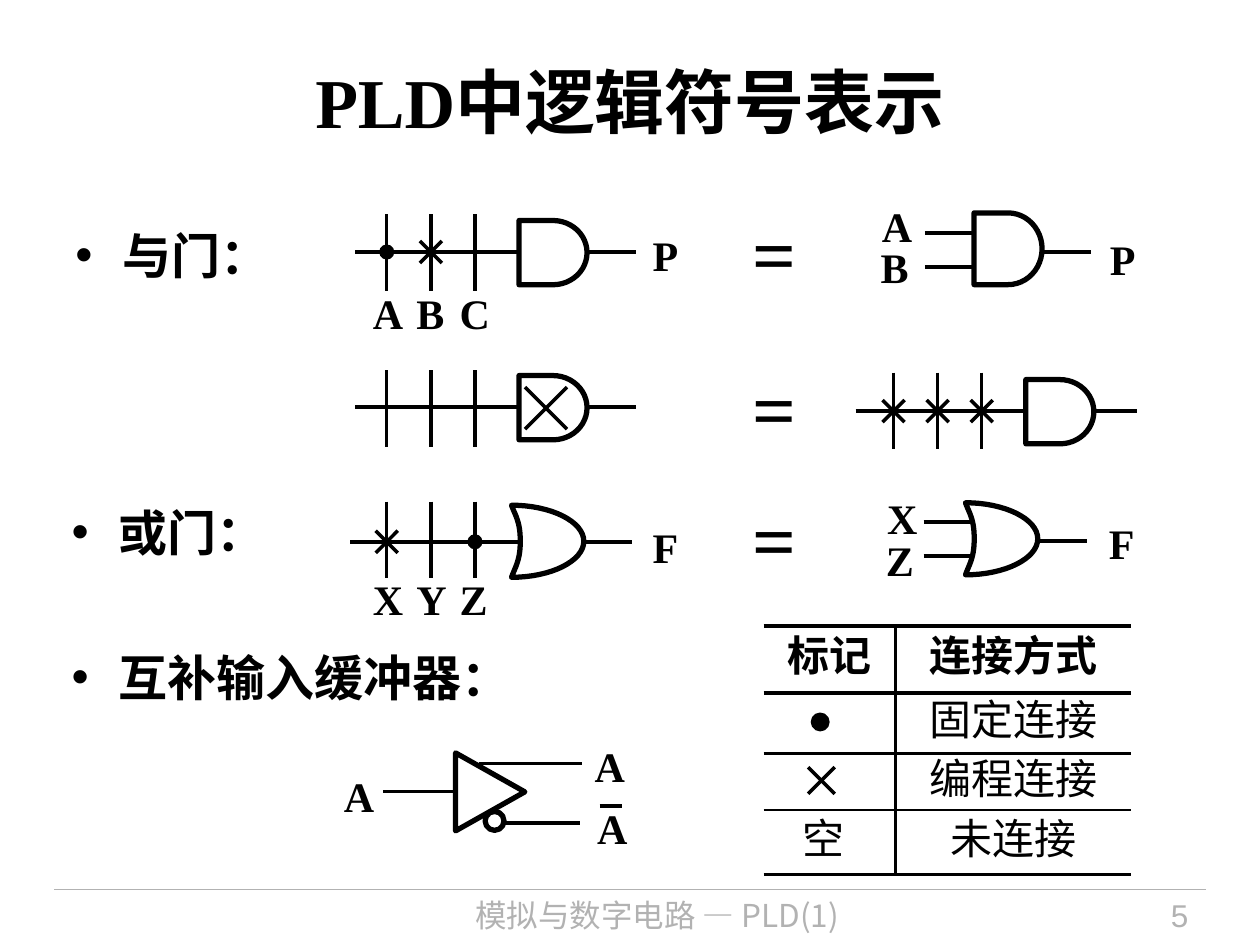
from lxml import etree
from pptx import Presentation
from pptx.dml.color import RGBColor
from pptx.enum import shapes, text
from pptx.oxml import ns
from pptx.util import Pt

BLACK, WHITE, GREY = "000000", "FFFFFF", "B2B2B2"
SERIF, SANS, CJK = "Times New Roman", "Arial", "Noto Sans CJK SC"
COLUMN_GAP = 25.2


def colour(hex_value):
    return RGBColor.from_string(hex_value)


def add_xml(parent, tag, **attributes):
    return etree.SubElement(parent, ns.qn(tag), **attributes)


def write(frame, words, size=24, font=SERIF, color=BLACK, bold=False,
          align=text.PP_ALIGN.LEFT, bullet=False, line_spacing=None):
    paragraph = frame.paragraphs[0]
    paragraph.alignment = align
    if line_spacing:
        paragraph.line_spacing = Pt(line_spacing)
    if bullet:
        paragraph.space_after = Pt(7)
        properties = paragraph._p.get_or_add_pPr()
        properties.set("marL", str(Pt(27)))
        properties.set("indent", str(-Pt(27)))
        add_xml(properties, "a:buFont", typeface=SANS)
        add_xml(properties, "a:buChar", char="•")
    run = paragraph.add_run()
    run.text = words
    run.font.size = Pt(size)
    run.font.bold = bold
    run.font.color.rgb = colour(color)
    run.font.name = font
    add_xml(run._r.get_or_add_rPr(), "a:ea", typeface=CJK)


def curve(p0, p1, p2, p3, steps=16):
    """Points along a cubic Bezier curve, without its start."""
    points = []
    for step in range(1, steps + 1):
        t = step / steps
        s = 1 - t
        points.append(tuple(
            s**3 * a + 3 * s * s * t * b + 3 * s * t * t * c + t**3 * d
            for a, b, c, d in zip(p0, p1, p2, p3)))
    return points


class Diagram:
    def __init__(self, slide, ink=BLACK, wire=2.25, thin=2, outline=3):
        self.slide = slide
        self.ink, self.wire, self.thin, self.outline = ink, wire, thin, outline

    def line(self, x1, y1, x2, y2, width=None, color=None):
        connector = self.slide.shapes.add_connector(
            shapes.MSO_CONNECTOR.STRAIGHT, Pt(x1), Pt(y1), Pt(x2), Pt(y2))
        connector.line.width = Pt(width or self.wire)
        connector.line.color.rgb = colour(color or self.ink)
        add_xml(connector._element.spPr, "a:effectLst")

    def paint(self, shape, fill, width):
        shape.shadow.inherit = False
        if fill:
            shape.fill.solid()
            shape.fill.fore_color.rgb = colour(fill)
        else:
            shape.fill.background()
        shape.line.color.rgb = colour(self.ink)
        shape.line.width = Pt(width)

    def shape(self, kind, x, y, w, h, fill=None, width=None, rotation=0):
        shape = self.slide.shapes.add_shape(kind, Pt(x), Pt(y), Pt(w), Pt(h))
        shape.rotation = rotation
        self.paint(shape, fill, width or self.outline)

    def text(self, words, x, y, w, h, inset=(7.2, 3.6), middle=False, **style):
        frame = self.slide.shapes.add_textbox(Pt(x), Pt(y), Pt(w), Pt(h)).text_frame
        frame.word_wrap = True
        frame.margin_left = frame.margin_right = Pt(inset[0])
        frame.margin_top = frame.margin_bottom = Pt(inset[1])
        frame.vertical_anchor = (text.MSO_ANCHOR.MIDDLE if middle
                                 else text.MSO_ANCHOR.TOP)
        write(frame, words, **style)

    def label(self, words, x, y, size=24, w=22, h=20):
        self.text(words, x, y, w, h, inset=(0, 0), size=size, bold=True)

    def dot(self, x, y, size=7.9):
        self.shape(shapes.MSO_SHAPE.OVAL, x - size / 2, y - size / 2,
                   size, size, fill=self.ink, width=0.75)

    def cross(self, x, y, half=6.3):
        for slope in (-1, 1):
            self.line(x - half, y - slope * half, x + half, y + slope * half,
                      self.thin)

    def and_gate(self, x, y, h=36.7):
        self.shape(shapes.MSO_SHAPE.FLOWCHART_DELAY, x, y, 38.9, h, fill=WHITE)

    def or_gate(self, x, y, fill=None):
        top, back, bottom, tip = (0, 0), (5, 20.6), (0, 41.2), (41.3, 20.6)
        points = (curve(top, (2.4, 6.5), (5, 9.4), back)
                  + curve(back, (5, 31.3), (2.4, 34.7), bottom)
                  + curve(bottom, (22.6, 41.2), (41.3, 31.9), tip)
                  + curve(tip, (41.3, 9.3), (22.6, 0), top))
        builder = self.slide.shapes.build_freeform(Pt(x), Pt(y))
        builder.add_line_segments([(Pt(x + px), Pt(y + py)) for px, py in points])
        self.paint(builder.convert_to_shape(), fill, self.outline)

    def input_array(self, first, top, bus_left, bus_y, marks=""):
        """Three input columns crossing one bus, each with its mark."""
        self.line(bus_left, bus_y, bus_left + 160.7, bus_y)
        for column in range(3):
            x = first + column * COLUMN_GAP
            self.line(x, top, x, top + 43.8, self.thin)
        for column, mark in enumerate(marks):
            draw = {"•": self.dot, "×": self.cross}.get(mark)
            if draw:
                draw(first + column * COLUMN_GAP, bus_y)

    def borders(self, cell, **widths):
        """Set cell borders by side (L, R, T, B); width 0 hides one."""
        properties = cell._tc.get_or_add_tcPr()
        for index, side in enumerate("LRTB"):
            width = widths[side]
            border = etree.Element(ns.qn("a:ln" + side), w=str(Pt(width)))
            if width:
                fill = add_xml(border, "a:solidFill")
                add_xml(fill, "a:srgbClr", val=self.ink)
            else:
                add_xml(border, "a:noFill")
            properties.insert(index, border)

    def table(self, rows, x, y, widths, heights, rules):
        """Table with horizontal rules and a single inner vertical rule."""
        table = self.slide.shapes.add_table(
            len(rows), len(widths), Pt(x), Pt(y),
            Pt(sum(widths)), Pt(sum(heights))).table
        table.first_row = table.horz_banding = False
        for column, width in zip(table.columns, widths):
            column.width = Pt(width)
        for r, (row, height) in enumerate(zip(rows, heights)):
            table.rows[r].height = Pt(height)
            for c, words in enumerate(row):
                cell = table.cell(r, c)
                cell.fill.background()
                cell.margin_top = cell.margin_bottom = 0
                cell.vertical_anchor = text.MSO_ANCHOR.MIDDLE
                # The first column sits a little left below its heading.
                cell.margin_right = Pt(14 if c == 0 and r else 7.2)
                write(cell.text_frame, words, font=SANS, bold=r == 0,
                      align=text.PP_ALIGN.CENTER, line_spacing=28)
                self.borders(cell, L=self.wire if c else 0, R=0 if c else self.wire,
                             T=rules[r], B=rules[r + 1])


def main():
    deck = Presentation()
    deck.slide_width, deck.slide_height = Pt(720), Pt(540)
    d = Diagram(deck.slides.add_slide(deck.slide_layouts[6]))
    center, right = text.PP_ALIGN.CENTER, text.PP_ALIGN.RIGHT

    d.line(31, 508.3, 689, 508.3, 0.75, GREY)
    d.text("模拟与数字电路 — PLD(1)", 172.8, 508.3, 405.4, 31.7, size=18,
           font=CJK, color=GREY, align=center)
    d.text("5", 590.4, 508.3, 95.8, 31.7, size=18, font=SANS, color=GREY, align=right)
    d.text("PLD中逻辑符号表示", 36, 12.2, 648, 90, size=40, bold=True,
           align=center, middle=True)
    for topic, x, y, w in (("与门：", 36, 125.3, 157), ("或门：", 33.8, 283.7, 142),
                           ("互补输入缓冲器：", 33.8, 366.5, 351)):
        d.text(topic, x, y, w, 54, size=28, bold=True, bullet=True)
    for y in (117.4, 205.9, 280.8):
        d.label("=", 429.8, y, size=44, w=26, h=52.6)

    # AND gates
    for first, top, bus_left, bus_y, marks in (
            (221, 122.4, 203, 144, "•×"), (221, 211.5, 203, 232.6, ""),
            (510.6, 213, 489, 234.9, "×××")):
        d.input_array(first, top, bus_left, bus_y, marks)
        d.and_gate(first + 75.6, bus_y - 18)
    d.cross(312, 233.2, half=12)
    d.and_gate(556.6, 121.7, h=41)
    d.line(595.4, 144, 623.5, 144)

    # OR gates
    d.input_array(221, 286.6, 200.2, 309.6, "× •")
    d.or_gate(292.3, 288.7, fill=WHITE)
    d.or_gate(551.7, 287.3)
    d.line(592.6, 308.9, 621.4, 308.9)

    # Two inputs of each simplified gate
    for x1, x2, ys in ((528.5, 556.6, (133.2, 152.6)), (527.8, 555.8, (298.1, 317.5))):
        for y in ys:
            d.line(x1, y, x2, y)

    for names, y in (("ABC", 164.2), ("XYZ", 328)):
        for column, name in enumerate(names):
            d.label(name, 213.1 + column * 24.8, y)
    for name, x, y in (("P", 373, 131), ("F", 373, 298.1), ("A", 504, 114.5),
                       ("B", 503.3, 138.2), ("P", 634.3, 133.2), ("X", 506.9, 281.5),
                       ("Z", 506.2, 305.3), ("F", 633.6, 295.9)):
        d.label(name, x, y)

    # Complementary input buffer
    d.line(260.6, 452.2, 218.9, 452.2, d.thin)
    d.line(273.6, 436.3, 332.6, 436.3, d.thin)
    d.line(288.7, 470.2, 331.2, 470.2, d.thin)
    d.shape(shapes.MSO_SHAPE.OVAL, 277.2, 463.7, 10.8, 10.8)
    d.shape(shapes.MSO_SHAPE.ISOSCELES_TRIANGLE, 257.8, 432.7, 44.6, 39.6, rotation=90)
    for x, y in ((196.5, 440.6), (339.8, 423.4), (341.2, 458.6)):
        d.label("A", x, y)
    d.line(342.7, 460.8, 355.7, 460.8)

    # Key to the connection marks
    d.table([("标记", "连接方式"), ("", "固定连接"), ("", "编程连接"), ("空", "未连接")],
            436.3, 357.8, (75.6, 134.6), (38.2, 34.6, 32.4, 36.7),
            (2.25, 2.25, 1.5, 1.5, 2.25))
    d.dot(468.7, 412.6, size=10.1)
    d.cross(469.4, 446, half=7.6)

    deck.save("out.pptx")


if __name__ == "__main__":
    main()
